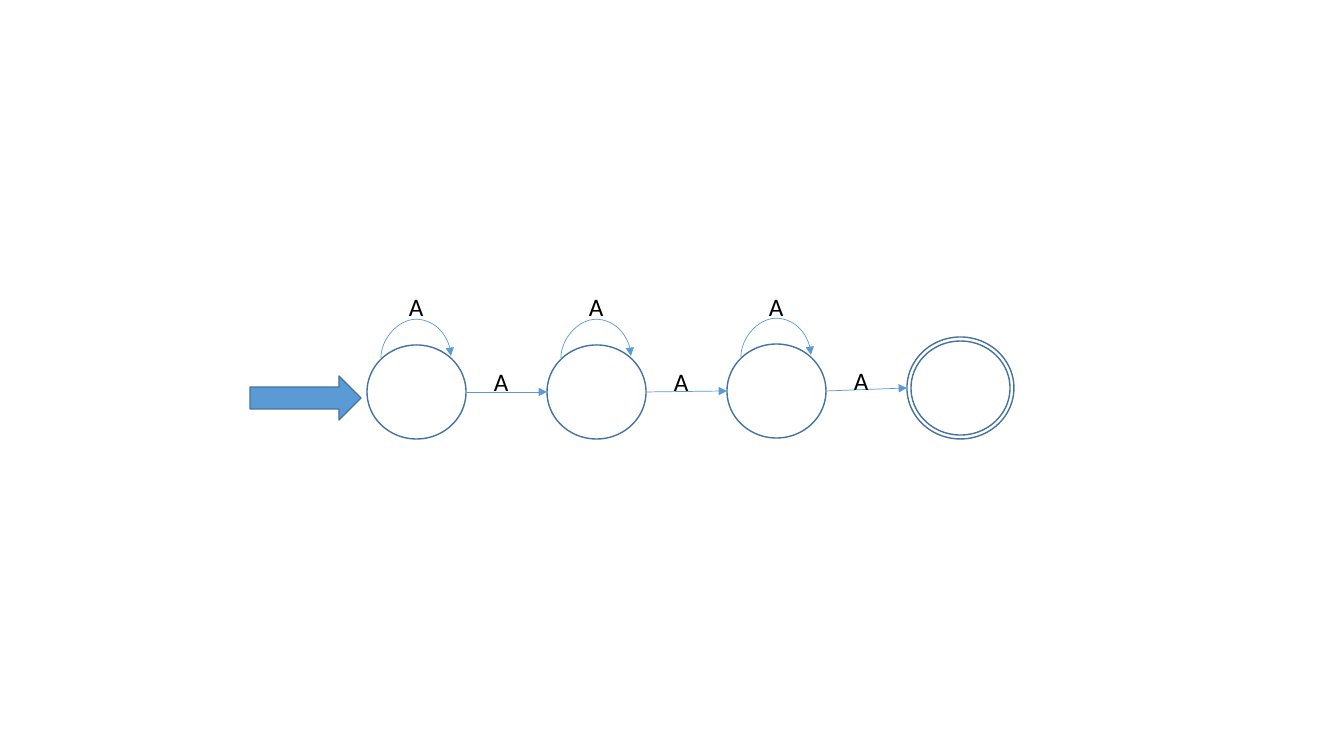
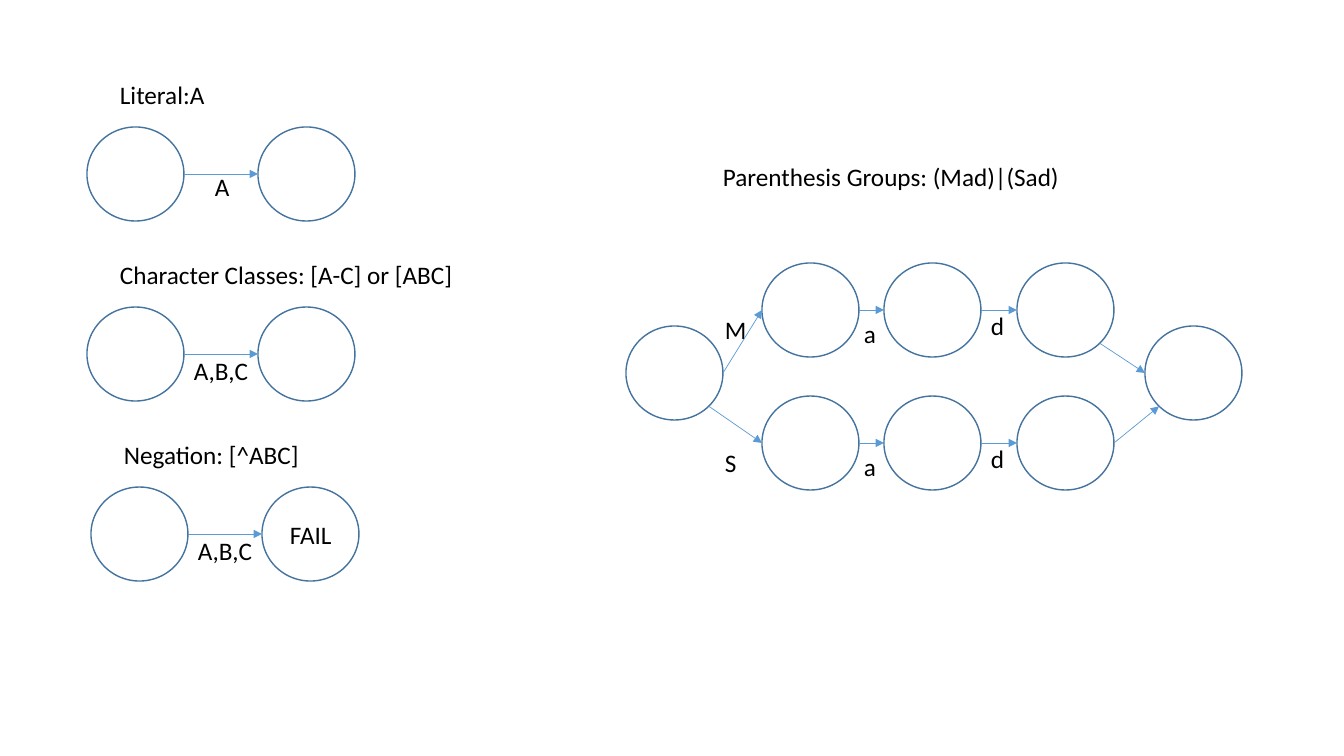
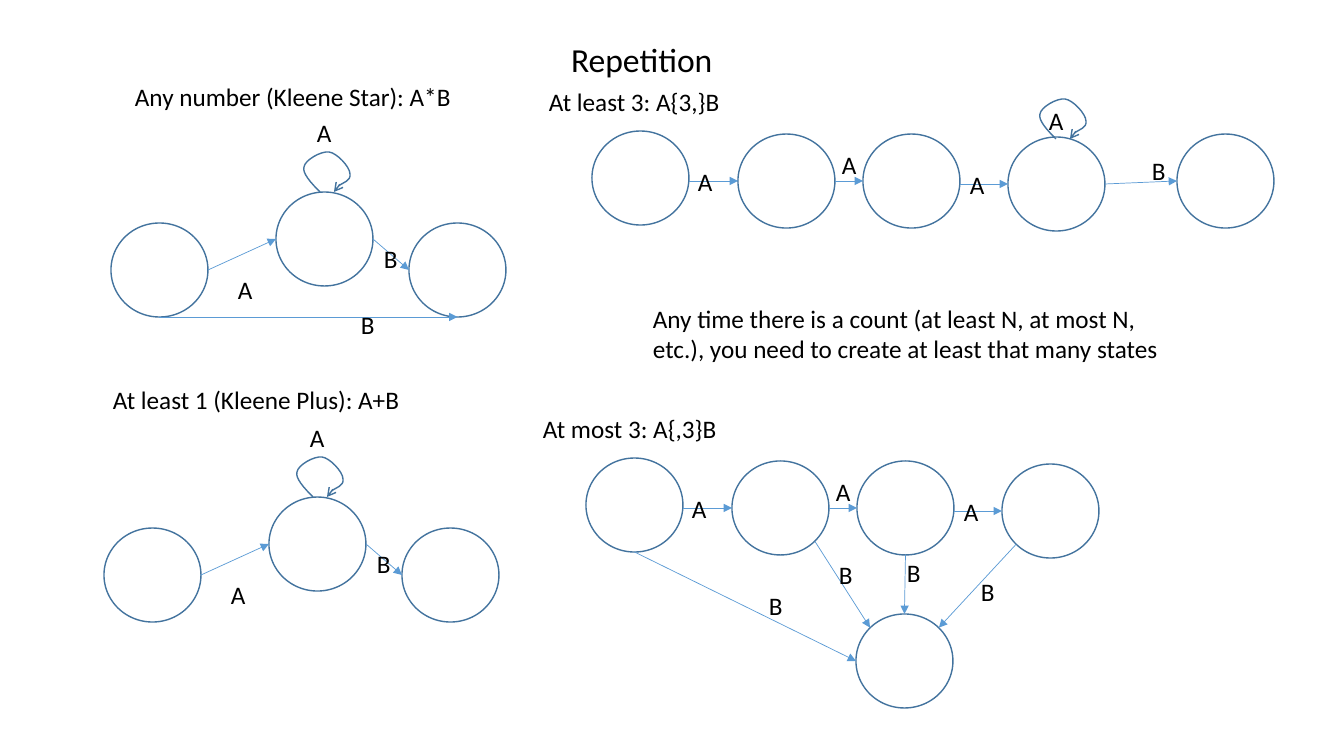
from dataclasses import dataclass
from enum import Enum

from lxml.etree import SubElement
from pptx import Presentation
from pptx.dml.color import RGBColor
from pptx.enum.shapes import MSO_CONNECTOR as Connector, MSO_SHAPE as Preset
from pptx.enum.text import MSO_ANCHOR as Anchor, MSO_AUTO_SIZE as AutoSize, PP_ALIGN as Align
from pptx.oxml.ns import qn
from pptx.slide import Slide
from pptx.util import Emu, Pt

EMU_PER_PIXEL = 914400 / 100.8
FONT = "Calibri"
BLACK, ARROW_BLUE, OUTLINE_BLUE = "000000", "5B9BD5", "43739E"
TITLE_ONLY, BLANK = 5, 6
LINE_HEIGHT = 40
LOOP_ENDS = [(-16, -25), (9, -40), (30, -18), (14, 0)]
LOOP_HANDLES = [
    [(-9, -9), (-18, -19)],
    [(-15, -32), (1, -41)],
    [(17, -39), (30, -25)],
    [(31, -11), (9, -3)],
]


class Site(Enum):
    """Connection sites of a state, as offsets from its centre in radii."""
    TOP = (0, -1)
    BOTTOM = (0, 1)
    LEFT = (-1, 0)
    RIGHT = (1, 0)
    UPPER_LEFT = (-0.71, -0.71)
    UPPER_RIGHT = (0.71, -0.71)
    LOWER_LEFT = (-0.71, 0.71)
    LOWER_RIGHT = (0.71, 0.71)


@dataclass(frozen=True)
class State:
    """One automaton state."""
    left: int
    top: int
    width: int = 97
    height: int = 94

    def point(self, site: Site) -> tuple[float, float]:
        """Return the place of a connection site."""
        across, down = site.value
        return (self.left + self.width / 2 * (1 + across),
                self.top + self.height / 2 * (1 + down))


@dataclass(frozen=True)
class Arrow:
    """A transition between two states; drop lowers its start."""
    source: State
    target: State
    leave: Site = Site.RIGHT
    enter: Site = Site.LEFT
    drop: int = 0


@dataclass(frozen=True)
class Label:
    """A piece of text at a place."""
    text: str
    left: int
    top: int
    width: int = 35
    height: int = LINE_HEIGHT
    wrap: bool = False


@dataclass(frozen=True)
class Transition:
    """A caption over two states joined by a labelled arrow."""
    caption: Label
    symbol: Label
    left: int


def px(length: float) -> Emu:
    """Turn pixels into EMU."""
    return Emu(round(length * EMU_PER_PIXEL))


def color(value: str) -> RGBColor:
    """Turn a hex string into a colour."""
    return RGBColor.from_string(value)


def style_line(shape, line_color: str, width: float, tail: str = "") -> None:
    """Format a line and give it an arrowhead if one is named."""
    shape.line.color.rgb = color(line_color)
    shape.line.width = Pt(width)
    if tail:
        SubElement(shape.line._get_or_add_ln(), qn("a:tailEnd"), type=tail)


def fill_text(shape, label: Label, size: int = 18) -> None:
    """Write a label into a text shape."""
    frame = shape.text_frame
    frame.text = label.text
    frame.word_wrap = label.wrap
    frame.auto_size = AutoSize.SHAPE_TO_FIT_TEXT
    frame.vertical_anchor = Anchor.TOP
    paragraph = frame.paragraphs[0]
    paragraph.alignment = Align.LEFT
    paragraph.font.name = FONT
    paragraph.font.size = Pt(size)
    paragraph.font.color.rgb = color(BLACK)


def draw_labels(slide: Slide, *labels: Label) -> None:
    """Draw text boxes."""
    for label in labels:
        box = slide.shapes.add_textbox(
            px(label.left), px(label.top), px(label.width), px(label.height))
        fill_text(box, label)


def draw_title(slide: Slide, label: Label) -> None:
    """Place and format the title placeholder."""
    title = slide.shapes.title
    title.left, title.top = px(label.left), px(label.top)
    title.width, title.height = px(label.width), px(label.height)
    fill_text(title, label, 24)


def draw_states(slide: Slide, *states: State) -> list:
    """Draw states as outlined ellipses."""
    shapes = []
    for state in states:
        shape = slide.shapes.add_shape(
            Preset.OVAL, px(state.left), px(state.top), px(state.width), px(state.height))
        shape.shadow.inherit = False
        shape.fill.background()
        style_line(shape, OUTLINE_BLUE, 1)
        shapes.append(shape)
    return shapes


def add_arrow(slide: Slide, kind: Connector, *ends: float):
    """Add a thin connector with an arrowhead."""
    connector = slide.shapes.add_connector(kind, *map(px, ends))
    style_line(connector, ARROW_BLUE, 0.5, "triangle")
    SubElement(connector._element.spPr, qn("a:effectLst"))
    return connector


def draw_arrows(slide: Slide, *arrows: Arrow) -> None:
    """Draw straight transitions."""
    for arrow in arrows:
        start_x, start_y = arrow.source.point(arrow.leave)
        add_arrow(slide, Connector.STRAIGHT, start_x, start_y + arrow.drop,
                  *arrow.target.point(arrow.enter))


def draw_arc(slide: Slide, left: int, bottom: int) -> None:
    """Draw a curved transition that rises from a state and returns to it."""
    span, rise, lift = 70, 2, 39
    middle_x, middle_y = left + span / 2, bottom - rise / 2
    arc = add_arrow(slide, Connector.CURVE, middle_x - rise / 2, middle_y - span / 2,
                    middle_x + rise / 2, middle_y + span / 2)
    properties = arc._element.spPr
    frame = properties.find(qn("a:xfrm"))
    for name, value in (("rot", "5400000"), ("flipH", "1"), ("flipV", "1")):
        frame.set(name, value)
    adjustments = properties.find(qn("a:prstGeom")).get_or_add_avLst()
    SubElement(adjustments, qn("a:gd"), name="adj1", fmla=f"val {lift * 100000 // rise}")


def draw_loop(slide: Slide, x: int, y: int) -> None:
    """Draw a hand-curved loop that starts at a point on a state."""
    builder = slide.shapes.build_freeform(0, 0, scale=EMU_PER_PIXEL)
    builder.add_line_segments(LOOP_ENDS, close=False)
    loop = builder.convert_to_shape(px(x), px(y))
    loop.shadow.inherit = False
    loop.fill.background()
    style_line(loop, OUTLINE_BLUE, 1, "arrow")
    outline = next(loop._element.iter(qn("a:path")))
    for segment in outline.findall(qn("a:lnTo")):
        outline.remove(segment)
    shift_x = -min(across for across, _ in LOOP_ENDS)
    shift_y = -min(down for _, down in LOOP_ENDS)
    for handles, end in zip(LOOP_HANDLES, LOOP_ENDS):
        curve = SubElement(outline, qn("a:cubicBezTo"))
        for across, down in [*handles, end]:
            SubElement(curve, qn("a:pt"), x=str(across + shift_x), y=str(down + shift_y))


def draw_entry(slide: Slide) -> None:
    """Draw the block arrow that points at the first state."""
    entry = slide.shapes.add_shape(Preset.RIGHT_ARROW, px(250), px(376), px(111), px(44))
    entry.shadow.inherit = False
    entry.fill.solid()
    entry.fill.fore_color.rgb = color(ARROW_BLUE)
    style_line(entry, OUTLINE_BLUE, 1)


def build_automaton(slide: Slide) -> None:
    """Draw the chain of looping states that ends in an accepting state."""
    draw_entry(slide)
    looping = [State(367 + 180 * index, top, 99) for index, top in enumerate((345, 345, 344))]
    inner, accepting = State(911, 341, 99), State(907, 337, 107, 102)
    draw_states(slide, *looping)
    slide.shapes.add_group_shape(draw_states(slide, inner, accepting))
    for state, following in zip(looping, [*looping[1:], accepting]):
        draw_arc(slide, state.left + 14, state.top + 13)
        draw_arrows(slide, Arrow(state, following))
        draw_labels(slide, Label("A", state.left + 32, 286),
                    Label("A", state.left + 117, state.top + 16))


def draw_transitions(slide: Slide) -> None:
    """Draw the column of single transitions."""
    transitions = [
        Transition(Label("Literal:A", 110, 74, 106), Label("A", 205, 166), 87),
        Transition(Label("Character Classes: [A-C] or [ABC]", 110, 254, 357),
                   Label("A,B,C", 184, 350, 75), 87),
        Transition(Label("Negation: [^ABC]", 114, 434, 198), Label("A,B,C", 188, 530, 75), 91),
    ]
    for index, transition in enumerate(transitions):
        top = 127 + 180 * index
        source, target = State(transition.left, top), State(transition.left + 171, top)
        draw_states(slide, source, target)
        draw_arrows(slide, Arrow(source, target))
        draw_labels(slide, transition.caption, transition.symbol)
    draw_labels(slide, Label("FAIL", 280, 514, 62))


def draw_alternatives(slide: Slide) -> None:
    """Draw the two branches of a group."""
    draw_labels(slide, Label("Parenthesis Groups: (Mad)|(Sad)", 713, 156, 360))
    first, last = State(626, 326), State(1145, 326)
    draw_states(slide, first, last)
    branches = []
    for initial, width, top in (("M", 42, 263), ("S", 32, 396)):
        branch = [State(left, top) for left in (762, 884, 1017)]
        draw_states(slide, *branch)
        draw_arrows(slide, *map(Arrow, branch, branch[1:]))
        draw_labels(slide, Label(initial, 715, top + 46, width),
                    Label("a", 854, top + 50, 32), Label("d", 981, top + 42))
        branches.append(branch)
    upper, lower = branches
    draw_arrows(
        slide,
        Arrow(first, upper[0]),
        Arrow(first, lower[0], leave=Site.LOWER_RIGHT),
        Arrow(upper[-1], last, leave=Site.LOWER_RIGHT),
        Arrow(lower[-1], last, enter=Site.LOWER_LEFT),
    )


def draw_kleene(slide: Slide, left: int, top: int, caption: Label) -> tuple[State, State]:
    """Draw three states with a loop on the middle one; return the outer two."""
    first, middle, last = State(left, top), State(left + 165, top - 31), State(left + 298, top)
    draw_states(slide, first, middle, last)
    draw_arrows(slide, Arrow(first, middle), Arrow(middle, last))
    draw_loop(slide, left + 209, top - 31)
    draw_labels(slide, caption, Label("A", left + 117, top + 46),
                Label("A", left + 196, top - 111), Label("B", left + 263, top + 15))
    return first, last


def draw_count(slide: Slide, left: int, top: int, caption: str) -> list[State]:
    """Draw four states joined by three A transitions."""
    states = [State(left + across, top + down)
              for across, down in ((0, 0), (146, 3), (271, 3), (416, 6))]
    draw_states(slide, *states)
    draw_arrows(slide, *(Arrow(source, target, drop=drop)
                         for source, target, drop in zip(states, states[1:], (3, 0, 3))))
    draw_labels(slide, Label(caption, left - 53, top - 50, 194),
                *(Label("A", left + across, top + down)
                  for across, down in ((96, 30), (240, 13), (368, 33))))
    return states


def build_repetition(slide: Slide) -> None:
    """Draw the automata for repeated symbols."""
    draw_title(slide, Label("Repetition", 561, 34, 163, 50))

    first, last = draw_kleene(
        slide, 111, 223, Label("Any number (Kleene Star): A*B", 125, 76, 340))
    draw_arrows(slide, Arrow(first, last, Site.BOTTOM, Site.BOTTOM))
    draw_labels(slide, Label("B", 351, 304))
    draw_kleene(slide, 104, 528, Label("At least 1 (Kleene Plus): A+B", 103, 379, 310))

    at_least = draw_count(slide, 592, 131, "At least 3: A{3,}B")
    final = State(1177, 134)
    draw_states(slide, final)
    draw_arrows(slide, Arrow(at_least[-1], final))
    draw_loop(slide, 1056, 139)
    draw_labels(
        slide,
        Label("B", 1142, 150),
        Label("A", 1039, 100),
        Label("Any time there is a count (at least N, at most N, etc.), "
              "you need to create at least that many states", 643, 298, 529, 72, wrap=True),
    )

    none, one, two, three = draw_count(slide, 586, 458, "At most 3: A{,3}B")
    final = State(856, 614)
    draw_states(slide, final)
    draw_arrows(
        slide,
        Arrow(none, final, Site.BOTTOM, Site.LEFT),
        Arrow(one, final, Site.LOWER_RIGHT, Site.UPPER_LEFT),
        Arrow(two, final, Site.BOTTOM, Site.TOP),
        Arrow(three, final, Site.LOWER_LEFT, Site.UPPER_RIGHT),
    )
    draw_labels(slide, *(Label("B", left, top) for left, top in
                         ((759, 585), (829, 554), (897, 552), (971, 571))))


def main() -> None:
    """Build and save the presentation."""
    presentation = Presentation()
    presentation.slide_width, presentation.slide_height = px(1344), px(756)
    layouts = presentation.slide_layouts
    build_automaton(presentation.slides.add_slide(layouts[BLANK]))
    constructs = presentation.slides.add_slide(layouts[BLANK])
    draw_transitions(constructs)
    draw_alternatives(constructs)
    build_repetition(presentation.slides.add_slide(layouts[TITLE_ONLY]))
    presentation.save("out.pptx")


main()
